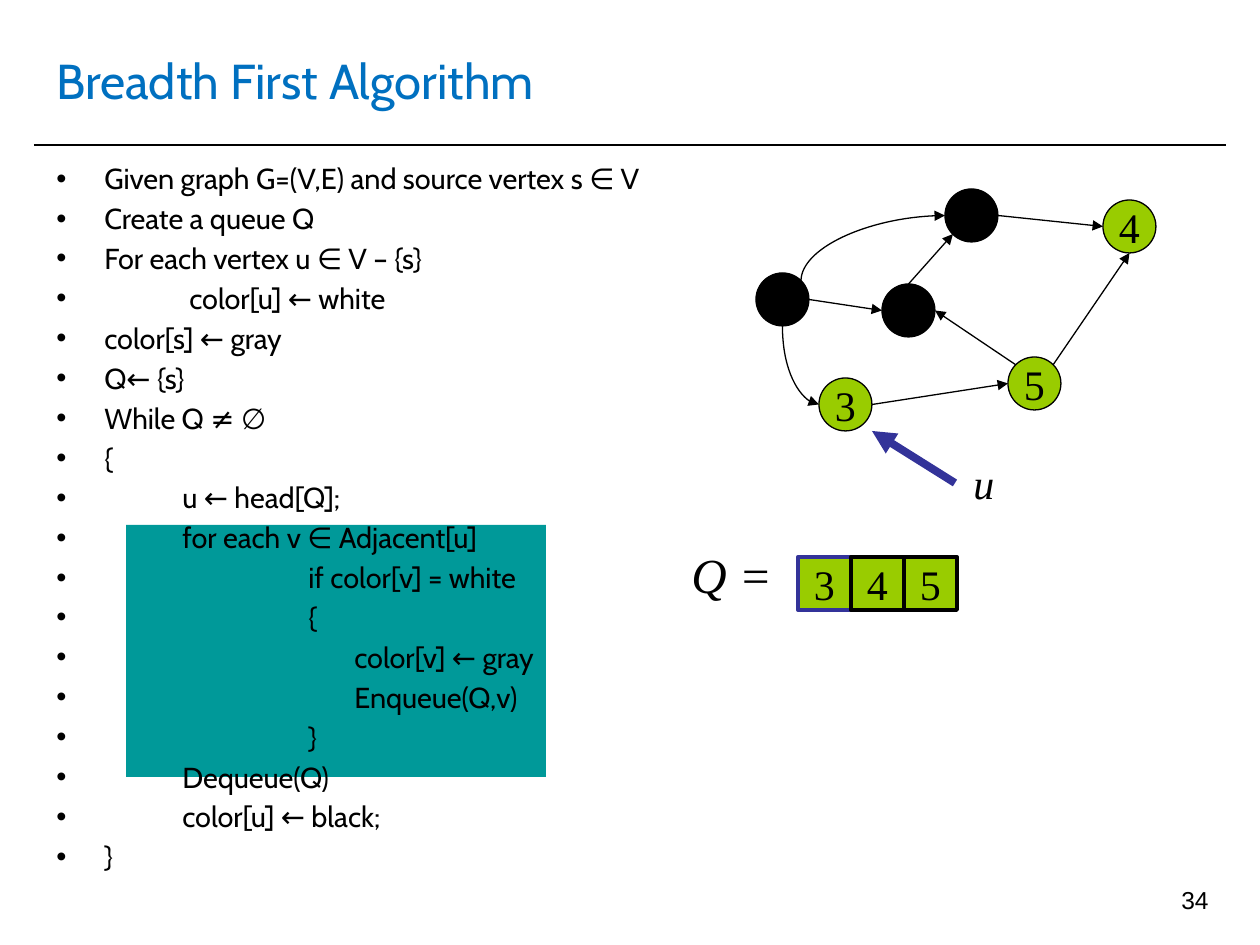
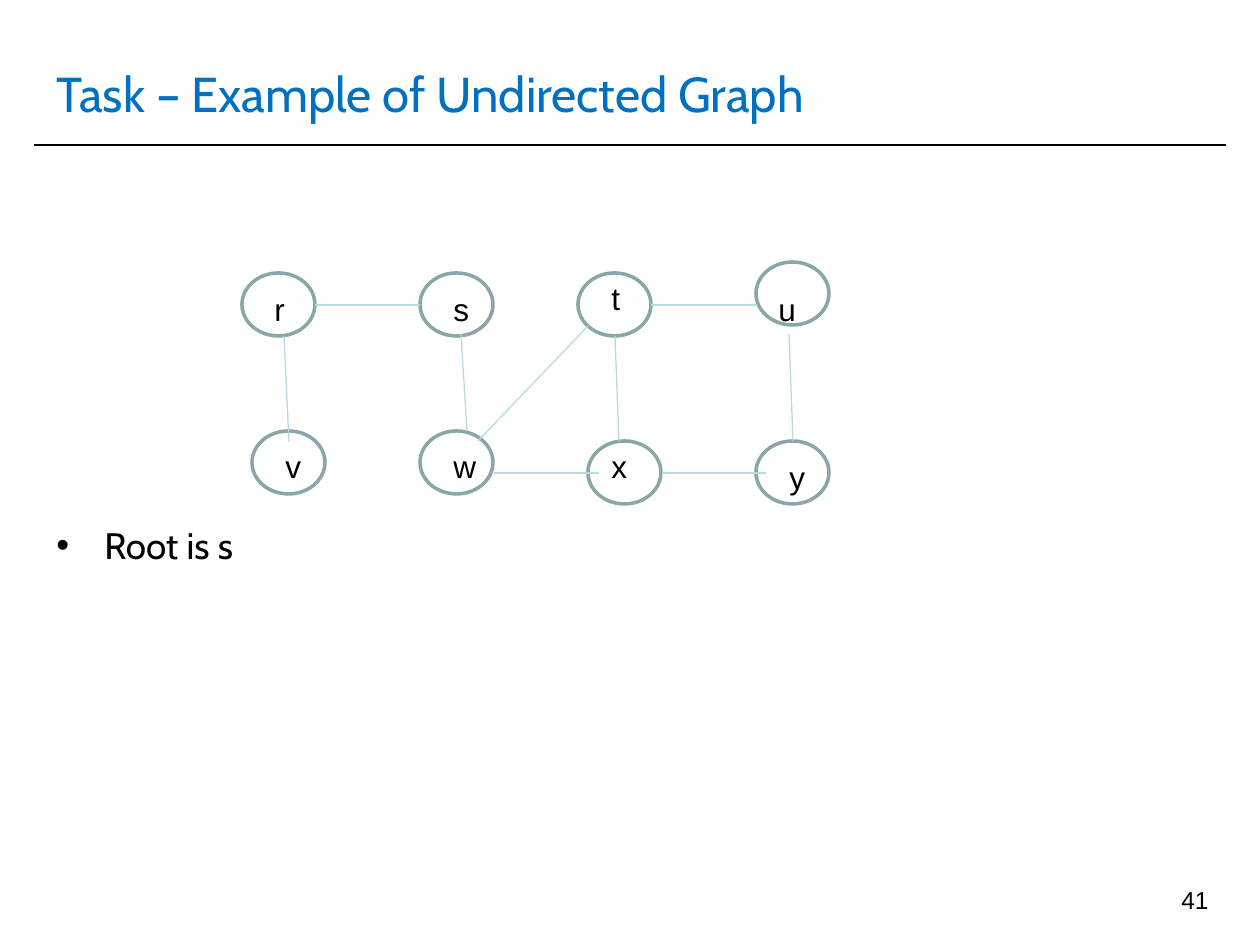
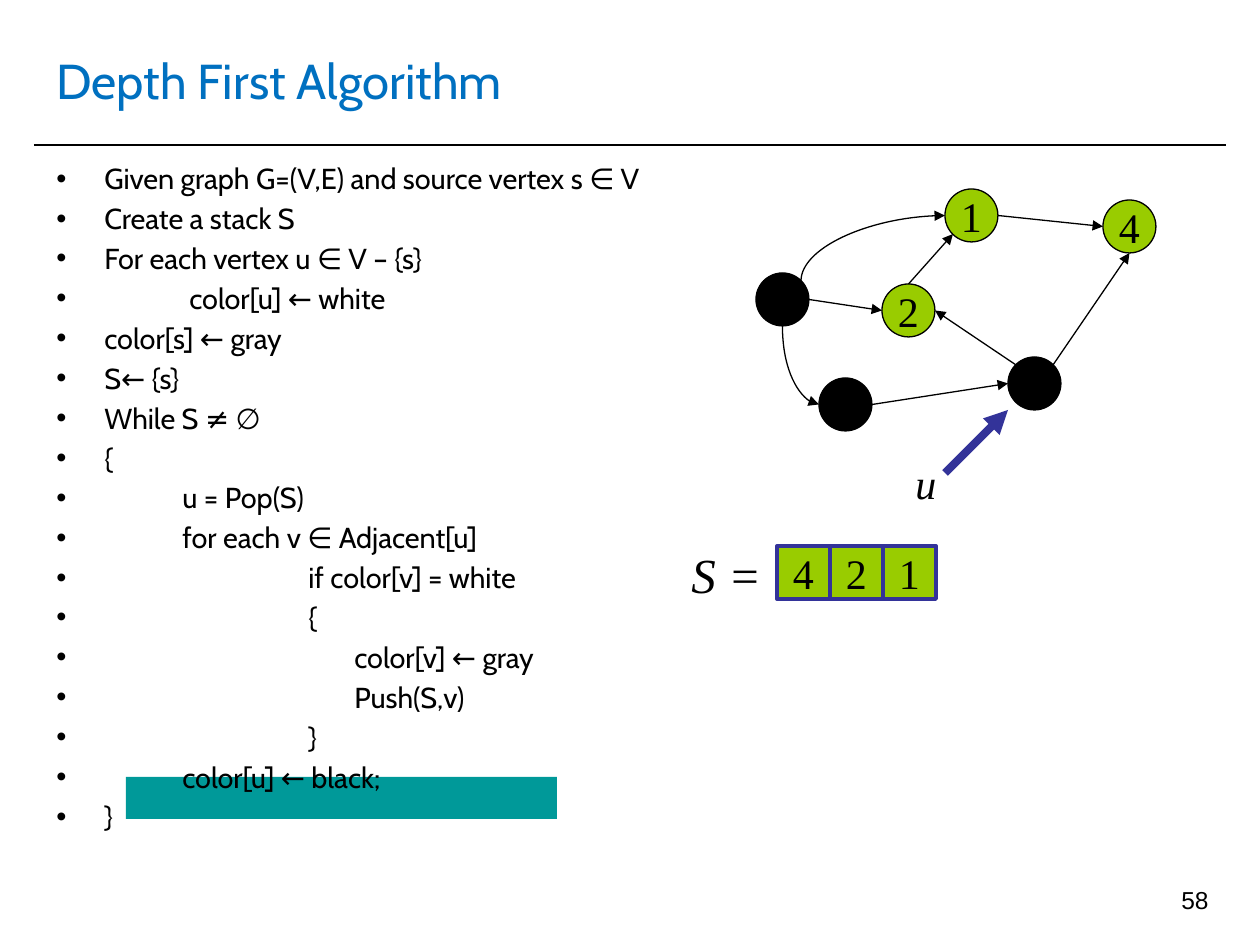
import collections

import pptx
import pptx.dml.color
import pptx.enum.shapes
import pptx.enum.text
import pptx.oxml
import pptx.oxml.ns
import pptx.util

RGBColor = pptx.dml.color.RGBColor
SHAPE = pptx.enum.shapes.MSO_SHAPE
CONNECTOR = pptx.enum.shapes.MSO_CONNECTOR
ANCHOR = pptx.enum.text.MSO_ANCHOR
ALIGN = pptx.enum.text.PP_ALIGN

BLACK = RGBColor(0x00, 0x00, 0x00)
TITLE_BLUE = RGBColor(0x00, 0x70, 0xC0)
BAND_TEAL = RGBColor(0x00, 0x99, 0x99)
GRAY_NODE_GREEN = RGBColor(0x99, 0xCC, 0x00)
POINTER_INDIGO = RGBColor(0x33, 0x33, 0x99)
RING_GRAY = RGBColor(0x8A, 0xA6, 0xA8)
EDGE_PALE = RGBColor(0xB6, 0xDC, 0xDF)

SANS, BODY, SERIF = "Arial", "Cabin", "Times New Roman"
EMU_PER_PX = 914400 / 126

Box = collections.namedtuple("Box", "x y width height")

BODY_BOX = Box(44, 155, 1171, 705)
GRAPH_BOX = Box(756, 189, 400, 242)
UNDIRECTED_BOX = Box(242, 262, 587, 242)
NODE_SIZE = 53
CELL_PITCH = 53
BULLET_INDENT = 48

NODES = {0: (0, 84), 1: (189, 0), 2: (126, 95), 3: (63, 189), 4: (347, 11), 5: (252, 168)}
PORTS = {
    "top": (0.5, 0), "right": (1, 0.5), "bottom": (0.5, 1), "left": (0, 0.5),
    "top right": (0.85, 0.15), "top left": (0.15, 0.15), "bottom left": (0.15, 0.85),
}
EDGES = [
    (0, "top right", 1, "left", True),
    (0, "right", 2, "left", False),
    (0, "bottom", 3, "left", True),
    (1, "right", 4, "left", False),
    (3, "right", 5, "left", False),
    (5, "top left", 2, "right", False),
    (2, "top", 1, "bottom left", False),
    (5, "top right", 4, "bottom", False),
]

RINGS = {
    "r": ((0, 11), (20, 11)), "s": ((178, 11), (21, 11)),
    "t": ((336, 11), (21, 0)), "u": ((514, 0), (10, 22)),
    "v": ((10, 169), (21, 10)), "w": ((178, 169), (21, 10)),
    "x": ((346, 179), (11, 0)), "y": ((514, 179), (21, 11)),
}
LINKS = [
    ((73, 43), (178, 43)), ((409, 43), (514, 43)),
    ((252, 211), (357, 211)), ((420, 211), (524, 211)),
    ((551, 179), (547, 72)), ((377, 179), (373, 74)),
    ((236, 179), (346, 64)), ((225, 169), (219, 72)), ((47, 180), (42, 74)),
]


def px(length):
    return pptx.util.Emu(round(length * EMU_PER_PX))


def style_font(para, face, size, color=BLACK, italic=False):
    font = para.font
    font.name, font.size, font.italic = face, pptx.util.Pt(size), italic
    font.color.rgb = color


def add_text(page, box, text, face, size, color=BLACK, italic=False,
             align=ALIGN.LEFT, anchor=ANCHOR.TOP, wrap=False):
    frame = page.shapes.add_textbox(*map(px, box)).text_frame
    frame.word_wrap = wrap
    frame.vertical_anchor = anchor
    para = frame.paragraphs[0]
    para.text, para.alignment = text, align
    style_font(para, face, size, color, italic)


def add_figure(page, kind, box, fill=None, line=None, weight=0.75, label=""):
    shape = page.shapes.add_shape(kind, *map(px, box))
    shape.shadow.inherit = False
    if fill is None:
        shape.fill.background()
    else:
        shape.fill.solid()
        shape.fill.fore_color.rgb = fill
    if line is None:
        shape.line.fill.background()
    else:
        shape.line.color.rgb = line
        shape.line.width = pptx.util.Pt(weight)
    if label:
        frame = shape.text_frame
        frame.word_wrap = False
        frame.vertical_anchor = ANCHOR.MIDDLE
        para = frame.paragraphs[0]
        para.text, para.alignment = label, ALIGN.CENTER
        style_font(para, SERIF, 24)


def add_line(page, start, end, color, weight, arrow=False, kind=CONNECTOR.STRAIGHT):
    line = page.shapes.add_connector(kind, *map(px, (*start, *end)))
    line.line.color.rgb = color
    line.line.width = pptx.util.Pt(weight)
    if arrow:
        outline = line.line._get_or_add_ln()
        head = pptx.oxml.ns.qn("a:tailEnd")
        outline.append(outline.makeelement(head, {"type": "triangle"}))
    properties = line._element.spPr
    properties.append(properties.makeelement(pptx.oxml.ns.qn("a:effectLst"), {}))
    return line


def add_curve(page, start, end):
    (x1, y1), (x2, y2) = start, end
    middle_x, middle_y = (x1 + x2) / 2, (y1 + y2) / 2
    half_width, half_height = (y1 - y2) / 2, (x2 - x1) / 2
    curve = add_line(page, (middle_x - half_width, middle_y - half_height),
                     (middle_x + half_width, middle_y + half_height),
                     BLACK, 0.75, True, CONNECTOR.CURVE)
    properties = curve._element.spPr
    properties.find(pptx.oxml.ns.qn("a:prstGeom")).set("prst", "curvedConnector2")
    properties.find(pptx.oxml.ns.qn("a:xfrm")).set("rot", str(270 * 60000))


def add_frame(page, title, number, title_top=26):
    add_line(page, (34, 145), (1226, 145), BLACK, 1)
    add_text(page, Box(44, title_top, 1171, 107), title, BODY, 28, TITLE_BLUE,
             anchor=ANCHOR.MIDDLE, wrap=True)
    add_text(page, Box(927, 879, 294, 66), str(number), SANS, 14,
             align=ALIGN.RIGHT, wrap=True)


def add_bullets(page, box, lines, size, top_inset=6):
    frame = page.shapes.add_textbox(*map(px, box)).text_frame
    frame.word_wrap = True
    frame.margin_top = px(top_inset)
    for position, (indent, text) in enumerate(lines):
        para = frame.add_paragraph() if position else frame.paragraphs[0]
        para.text = text
        para.space_before = pptx.util.Pt(3)
        properties = para._p.get_or_add_pPr()
        properties.set("marL", str(px(indent)))
        properties.set("indent", str(px(-indent)))
        for tag, name, value in (("buFont", "typeface", SANS), ("buChar", "char", "•")):
            mark = properties.makeelement(pptx.oxml.ns.qn("a:" + tag), {name: value})
            properties.append(mark)
        style_font(para, BODY, size)


def add_directed_graph(page, box, labelled):
    def port(node, side):
        return tuple(origin + offset + share * NODE_SIZE
                     for origin, offset, share in zip(box, NODES[node], PORTS[side]))

    for node, (x, y) in NODES.items():
        shown = node in labelled
        add_figure(page, SHAPE.OVAL, Box(box.x + x, box.y + y, NODE_SIZE, NODE_SIZE),
                   GRAY_NODE_GREEN if shown else BLACK, BLACK,
                   label=str(node) if shown else "")
    for source, source_side, target, target_side, curved in EDGES:
        start, end = port(source, source_side), port(target, target_side)
        if curved:
            add_curve(page, start, end)
        else:
            add_line(page, start, end, BLACK, 0.75, True)


def add_pointer(page, start, end, label_x):
    add_line(page, start, end, POINTER_INDIGO, 4.5, True)
    add_text(page, Box(label_x, 451, 47, 63), "u", SERIF, 24, italic=True)


def add_cells(page, name, name_width, x, y, cells):
    add_text(page, Box(679, 538, name_width, 72), f"{name} =", SERIF, 28, italic=True)
    for column, (label, border) in enumerate(cells):
        add_figure(page, SHAPE.RECTANGLE,
                   Box(x + column * CELL_PITCH, y, CELL_PITCH, CELL_PITCH),
                   GRAY_NODE_GREEN, border, 2.25, label)


def add_undirected_graph(page, box):
    for name, ((x, y), (label_x, label_y)) in RINGS.items():
        add_figure(page, SHAPE.OVAL, Box(box.x + x, box.y + y, 73, 63),
                   line=RING_GRAY, weight=2)
        add_text(page, Box(box.x + x + label_x, box.y + y + label_y, 42, 50),
                 name, SANS, 18)
    for (x1, y1), (x2, y2) in LINKS:
        add_line(page, (box.x + x1, box.y + y1), (box.x + x2, box.y + y2),
                 EDGE_PALE, 0.75)


def search_code(store, container, take, add, closing):
    return [
        (BULLET_INDENT, "Given graph G=(V,E) and source vertex s ∈ V"),
        (BULLET_INDENT, f"Create a {container} {store}"),
        (BULLET_INDENT, "For each vertex u ∈ V – {s}"),
        (133, "color[u] ← white"),
        (BULLET_INDENT, "color[s] ← gray"),
        (BULLET_INDENT, f"{store}← {{s}}"),
        (BULLET_INDENT, f"While {store} ≠ ∅"),
        (BULLET_INDENT, "{"),
        (126, take),
        (126, "for each v ∈ Adjacent[u]"),
        (252, "if color[v] = white"),
        (252, "{"),
        (298, "color[v] ← gray"),
        (298, add),
        (252, "}"),
        *((126, text) for text in closing),
        (BULLET_INDENT, "}"),
    ]


def add_algorithm(page, title, number, band, code, labelled):
    add_figure(page, SHAPE.RECTANGLE, band, BAND_TEAL)
    add_frame(page, title, number)
    add_directed_graph(page, GRAPH_BOX, labelled)
    add_bullets(page, BODY_BOX, code, 16.5)


def main():
    deck = pptx.Presentation()
    deck.slide_width, deck.slide_height = px(1260), px(945)
    breadth, task, depth = (deck.slides.add_slide(deck.slide_layouts[6]) for _ in range(3))

    add_algorithm(breadth, "Breadth First Algorithm", 34, Box(126, 525, 420, 252),
                  search_code("Q", "queue", "u ← head[Q];", "Enqueue(Q,v)",
                              ["Dequeue(Q)", "color[u] ← black;"]), {3, 4, 5})
    add_pointer(breadth, (955, 483), (872, 431), 961)
    add_cells(breadth, "Q", 106, 798, 557,
              [("3", POINTER_INDIGO), ("4", BLACK), ("5", BLACK)])

    add_frame(task, "Task – Example of Undirected Graph", 41, title_top=39)
    add_bullets(task, BODY_BOX, [(BULLET_INDENT, "Root is s")], 21, top_inset=368)
    add_undirected_graph(task, UNDIRECTED_BOX)

    add_algorithm(depth, "Depth First Algorithm", 58, Box(126, 777, 431, 42),
                  search_code("S", "stack", "u = Pop(S)", "Push(S,v)",
                              ["color[u] ← black;"]), {1, 2, 4})
    add_pointer(depth, (945, 473), (1008, 410), 903)
    add_cells(depth, "S", 95, 777, 546, [(label, POINTER_INDIGO) for label in "421"])

    deck.save("out.pptx")


if __name__ == "__main__":
    main()
